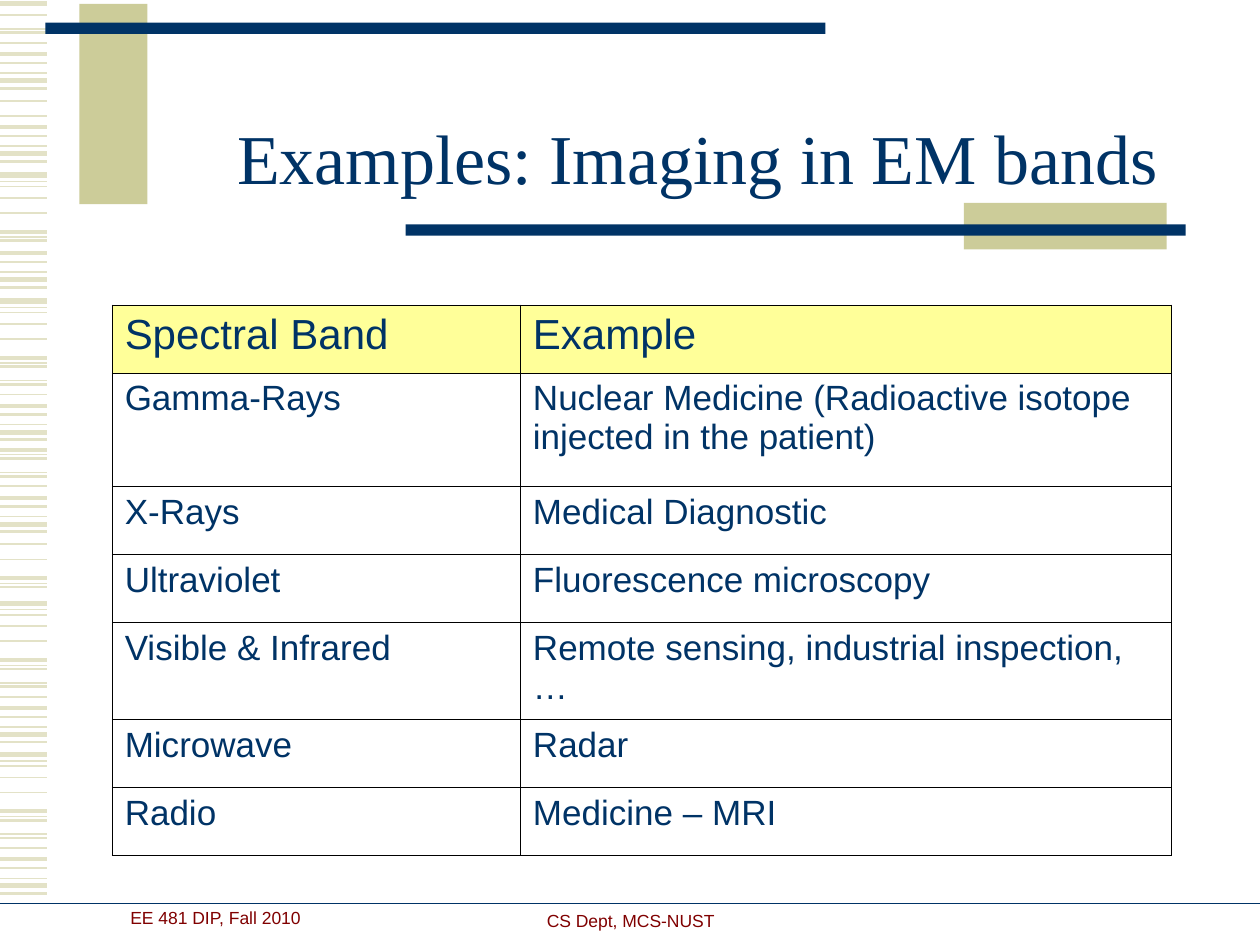
from pptx import Presentation
from pptx.dml.color import RGBColor
from pptx.enum import shapes, text
from pptx.oxml import xmlchemy
from pptx.util import Inches, Pt

COLORS = {"navy": "003366", "khaki": "CCCC99", "stripe": "E3E2C7",
          "maroon": "800000", "header": "FFFF99", "border": "000000"}

# One band of stripes: offset from its top in inches, weight in points
BAND = [(0, 3), (0.05, 0.75), (0.09, 1), (0.18, 1), (0.3, 1), (0.45, 2.25),
        (0.49, 0.75), (0.52, 1.5), (0.63, 0.75), (0.66, 1.5), (0.74, 1),
        (0.83, 2.25), (0.9, 1.5), (0.98, 0.75), (1.04, 3), (1.1, 1.5)]
# Whole and partial bands down the edge: top, first stripe, end stripe
BAND_RUNS = [(0.03, 0, 1), (-0.4, 7, 16), (0.62, 3, 5), (0.18, 11, 16),
             (1.39, 0, 8), (1.18, 11, 16), (2.39, 0, 16), (3.12, 5, 16),
             (4.14, 3, 8), (4.79, 0, 16), (5.99, 0, 16)]

BANDS = [
    ("Spectral Band", "Example"),
    ("Gamma-Rays", "Nuclear Medicine (Radioactive isotope injected in the patient)"),
    ("X-Rays", "Medical Diagnostic"),
    ("Ultraviolet", "Fluorescence microscopy"),
    ("Visible & Infrared", "Remote sensing, industrial inspection, …"),
    ("Microwave", "Radar"),
    ("Radio", "Medicine – MRI"),
]
COLUMN_WIDTHS = [3.24, 5.17]
ROW_HEIGHTS = [0.54, 0.9, 0.54, 0.54, 0.77, 0.54, 0.54]


def rgb(name):
    return RGBColor.from_string(COLORS[name])


def write(frame, words, size, color="navy", font="Arial",
          align=text.PP_ALIGN.LEFT, spacing=None):
    frame.word_wrap = True
    paragraph = frame.paragraphs[0]
    paragraph.alignment = align
    paragraph.line_spacing = spacing
    run = paragraph.add_run()
    run.text = words
    run.font.size = Pt(size)
    run.font.name = font
    run.font.color.rgb = rgb(color)


def add_rule(slide, left, right, y, color, weight):
    rule = slide.shapes.add_connector(shapes.MSO_CONNECTOR.STRAIGHT, Inches(left),
                                      Inches(y), Inches(right), Inches(y))
    rule.line.color.rgb = rgb(color)
    rule.line.width = Pt(weight)
    properties = rule._element.spPr
    properties.append(properties.makeelement(xmlchemy.qn("a:effectLst"), {}))


def add_block(slide, left, top, width, height, color):
    block = slide.shapes.add_shape(shapes.MSO_SHAPE.RECTANGLE, Inches(left),
                                   Inches(top), Inches(width), Inches(height))
    block.shadow.inherit = False
    block.fill.solid()
    block.fill.fore_color.rgb = rgb(color)
    block.line.fill.background()


def add_striped_edge(slide, left, right):
    for top, first, end in BAND_RUNS:
        for offset, weight in BAND[first:end]:
            add_rule(slide, left, right, top + offset, "stripe", weight)


def add_bar_pair(slide, left, top, block, bar_offset):
    """Place a khaki block with a navy bar across it, offset from its corner."""
    add_block(slide, left, top, *block, "khaki")
    add_block(slide, left + bar_offset[0], top + bar_offset[1], 6.19, 0.09, "navy")


def add_title(slide, left, top, width, height):
    title = slide.shapes.title
    title.left, title.top = Inches(left), Inches(top)
    title.width, title.height = Inches(width), Inches(height)
    frame = title.text_frame
    frame.auto_size = text.MSO_AUTO_SIZE.NONE
    frame.vertical_anchor = text.MSO_ANCHOR.MIDDLE
    write(frame, "Examples: Imaging in EM bands", 40, font="Times New Roman",
          align=text.PP_ALIGN.CENTER, spacing=0.85)


def add_footer(slide, top):
    add_rule(slide, 0, 10, top, "navy", 0.75)
    for words, left, offset, width in [("CS Dept, MCS-NUST", 2.92, 0, 4.17),
                                       ("EE 481 DIP, Fall 2010", 0.92, -0.02, 1.58)]:
        note = slide.shapes.add_textbox(Inches(left), Inches(top + offset),
                                        Inches(width), Inches(0.26))
        write(note.text_frame, words, 10, "maroon", align=text.PP_ALIGN.CENTER)


def add_borders(cell):
    properties = cell._tc.get_or_add_tcPr()
    for side in ("a:lnL", "a:lnR", "a:lnT", "a:lnB"):
        line = properties.makeelement(xmlchemy.qn(side), {"w": str(Pt(0.45))})
        fill = line.makeelement(xmlchemy.qn("a:solidFill"), {})
        fill.append(fill.makeelement(xmlchemy.qn("a:srgbClr"),
                                     {"val": COLORS["border"]}))
        line.append(fill)
        properties.append(line)


def add_band_table(slide, left, top):
    table = slide.shapes.add_table(
        len(BANDS), len(COLUMN_WIDTHS), Inches(left), Inches(top),
        Inches(sum(COLUMN_WIDTHS)), Inches(sum(ROW_HEIGHTS))).table
    table.first_row = table.horz_banding = False
    for column, width in zip(table.columns, COLUMN_WIDTHS):
        column.width = Inches(width)
    for index, (row, height) in enumerate(zip(table.rows, ROW_HEIGHTS)):
        row.height = Inches(height)
        for cell, words in zip(row.cells, BANDS[index]):
            add_borders(cell)
            if index == 0:
                cell.fill.solid()
                cell.fill.fore_color.rgb = rgb("header")
            else:
                cell.fill.background()
            write(cell.text_frame, words, 24 if index == 0 else 20)


def main():
    deck = Presentation()
    deck.slide_width, deck.slide_height = Inches(10), Inches(7.5)
    slide = deck.slides.add_slide(deck.slide_layouts[5])
    add_striped_edge(slide, -0.33, 0.37)
    add_bar_pair(slide, 0.63, 0.03, (0.54, 1.59), (-0.27, 0.15))
    add_bar_pair(slide, 7.65, 1.61, (1.61, 0.37), (-4.43, 0.17))
    add_footer(slide, 7.17)
    add_title(slide, 1.5, 0.67, 8.07, 1.25)
    add_band_table(slide, 0.89, 2.42)
    deck.save("out.pptx")


if __name__ == "__main__":
    main()
